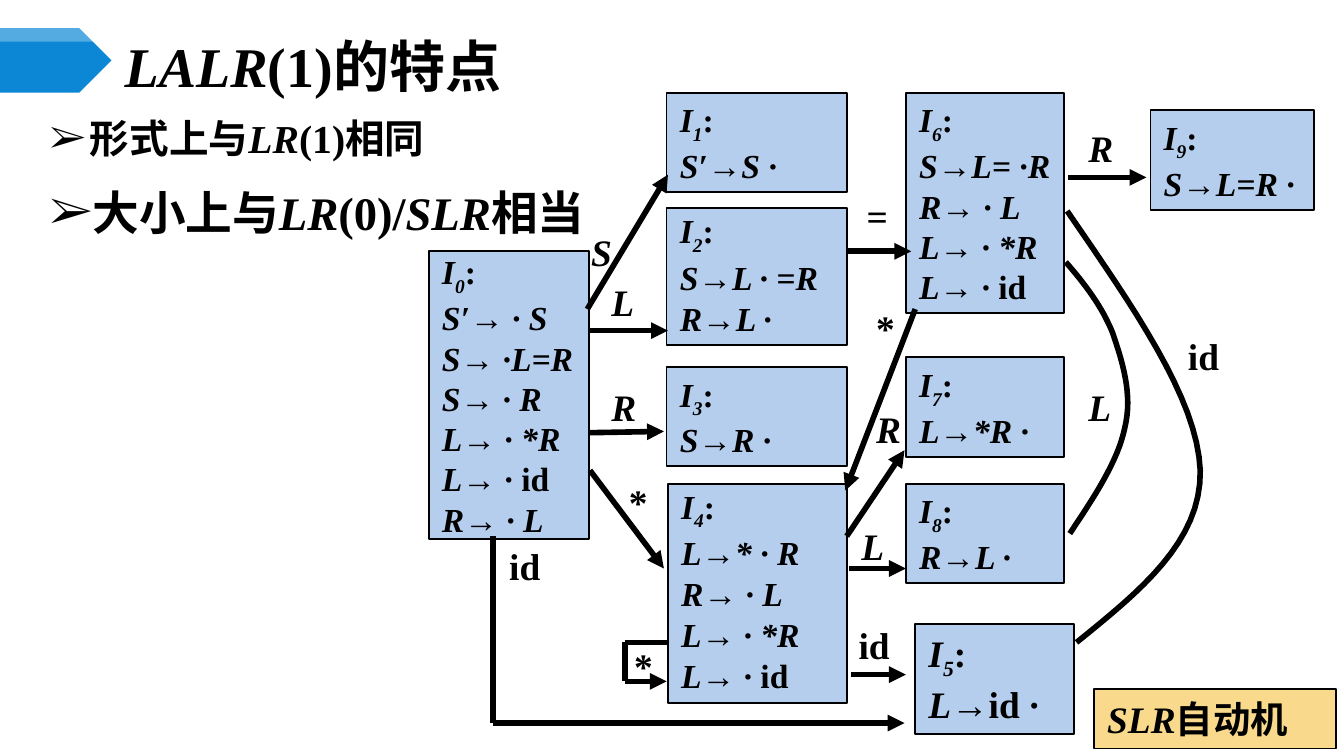
from lxml import etree
from pptx import Presentation
from pptx import util as u
from pptx.dml.color import RGBColor
from pptx.enum import shapes, text
from pptx.oxml.ns import qn

LATIN, CJK = "Times New Roman", "Noto Sans CJK SC"
BLACK, STATE_FILL, NOTE_FILL, BLUE = "000000", "B5CEED", "F9D98C", "0B87D6"

STATES = [
    (0, 0.19, 1.37, 1.19, 2.14, ["S′→ · S", "S→ ·L=R", "S→ · R", "L→ · *R", "L→ · id", "R→ · L"]),
    (1, 1.96, 0.19, 1.34, 0.74, ["S′→S ·"]),
    (2, 1.96, 1.05, 1.34, 1.02, ["S→L · =R", "R→L ·"]),
    (3, 1.96, 2.23, 1.34, 0.74, ["S→R ·"]),
    (4, 1.97, 3.1, 1.33, 1.63, ["L→* · R", "R→ · L", "L→ · *R", "L→ · id"]),
    (5, 3.81, 4.14, 1.18, 0.82, ["L→id ·"]),
    (6, 3.74, 0.19, 1.18, 1.64, ["S→L= ·R", "R→ · L", "L→ · *R", "L→ · id"]),
    (7, 3.74, 2.16, 1.18, 0.74, ["L→*R ·"]),
    (8, 3.74, 3.1, 1.18, 0.74, ["R→L ·"]),
    (9, 5.56, 0.32, 1.22, 0.74, ["S→L=R ·"]),
]
ARROWS = [
    (1.37, 1.8, 1.97, 0.8), (1.38, 1.96, 1.97, 1.96), (1.38, 2.72, 1.94, 2.71),
    (1.39, 3, 1.94, 3.73), (3.3, 1.37, 3.78, 1.37), (3.3, 3.49, 3.73, 2.85),
    (3.32, 3.73, 3.74, 3.73), (4.95, 0.82, 5.53, 0.82), (3.81, 1.8, 3.29, 3.15),
    (3.33, 4.52, 3.74, 4.52), (1.65, 4.57, 1.96, 4.57), (0.67, 4.88, 3.73, 4.88),
]
PLAIN_LINES = [(1.65, 4.28, 1.96, 4.28), (1.65, 4.28, 1.65, 4.57), (0.67, 4.88, 0.67, 3.49)]
LABELS = [
    ("S", 1.3, 1.16), ("L", 1.45, 1.53), ("R", 1.45, 2.31), ("*", 1.58, 3.02),
    ("id", 0.69, 3.49), ("=", 3.35, 0.89), ("R", 3.42, 2.47), ("L", 3.31, 3.34),
    ("R", 5, 0.38), ("*", 3.42, 1.72), ("id", 3.29, 4.08), ("*", 1.62, 4.24),
    ("L", 5, 2.31), ("id", 5.74, 1.93),
]
CURVES = [
    [(4.93, 1.45), (5.07, 1.61), (5.2, 1.78), (5.28, 1.98), (5.35, 2.19), (5.43, 2.43),
     (5.37, 2.68), (5.32, 2.93), (5.14, 3.2), (4.96, 3.47)],
    [(4.94, 1.07), (5.42, 1.77), (5.91, 2.46), (5.93, 3), (5.94, 3.53), (5.48, 3.9), (5.01, 4.28)],
]


def rgb(value):
    """Turn a hex string into a colour."""
    return RGBColor.from_string(value)


def add_run(p, words, size, italic=False, base=0):
    """Append one bold run with Latin and East Asian fonts."""
    r = p.add_run()
    r.text = words
    r.font.size, r.font.bold, r.font.italic = u.Pt(size), True, italic
    r.font.name = LATIN
    r.font.color.rgb = rgb(BLACK)
    props = r.font._element
    etree.SubElement(props, qn("a:ea")).set("typeface", CJK)
    if base:
        props.set("baseline", str(base))


def add_text(s, left, top, width, height):
    """Add a wrapping text box and return its text frame."""
    box = s.shapes.add_textbox(u.Inches(left), u.Inches(top), u.Inches(width), u.Inches(height))
    box.text_frame.word_wrap = True
    return box.text_frame


def add_box(s, left, top, width, height, fill):
    """Add an outlined rectangle and return its text frame."""
    sp = s.shapes.add_shape(shapes.MSO_SHAPE.RECTANGLE, u.Inches(left), u.Inches(top),
                            u.Inches(width), u.Inches(height))
    sp.shadow.inherit = False
    sp.fill.solid()
    sp.fill.fore_color.rgb = rgb(fill)
    sp.line.color.rgb, sp.line.width = rgb(BLACK), u.Pt(1)
    tf = sp.text_frame
    tf.word_wrap, tf.vertical_anchor = True, text.MSO_ANCHOR.TOP
    tf.paragraphs[0].alignment = text.PP_ALIGN.LEFT
    return tf


def add_outline(s, points, closed):
    """Build a freeform through points given in inches."""
    corners = [(u.Inches(x), u.Inches(y)) for x, y in points]
    builder = s.shapes.build_freeform(*corners[0])
    builder.add_line_segments(corners[1:], close=closed)
    sp = builder.convert_to_shape()
    sp.shadow.inherit = False
    return sp


def add_state(s, left, top, width, height, number, items):
    """Draw one item set of the automaton."""
    tf = add_box(s, left, top, width, height, STATE_FILL)
    size = 20 if number == 5 else 18
    if number == 0:
        tf.margin_top = tf.margin_bottom = 0
    p = tf.paragraphs[0]
    add_run(p, "I", size, True)
    add_run(p, str(number), size, True, -25000)
    add_run(p, ":", size)
    for item in items:
        p = tf.add_paragraph()
        p.alignment = text.PP_ALIGN.LEFT
        before, upright, after = item.partition("id")
        for words, italic in ((before, True), (upright, False), (after, True)):
            if words:
                add_run(p, words, size, italic)
    if number in (2, 4):
        for p in tf.paragraphs:
            p.line_spacing = u.Pt(22)


def add_edge(s, x1, y1, x2, y2, arrow):
    """Draw a straight edge, with an arrowhead if asked."""
    line = s.shapes.add_connector(shapes.MSO_CONNECTOR.STRAIGHT, u.Inches(x1), u.Inches(y1),
                                  u.Inches(x2), u.Inches(y2))
    line.line.color.rgb, line.line.width = rgb(BLACK), u.Pt(3)
    if arrow:
        etree.SubElement(line.line._get_or_add_ln(), qn("a:tailEnd")).set("type", "triangle")
    etree.SubElement(line._element.spPr, qn("a:effectLst"))


def add_curve(s, controls, steps=16):
    """Draw a chain of cubic curves from its control points."""
    points = [controls[0]]
    for i in range(0, len(controls) - 1, 3):
        for t in (n / steps for n in range(1, steps + 1)):
            weights = ((1 - t) ** 3, 3 * t * (1 - t) ** 2, 3 * t * t * (1 - t), t ** 3)
            points.append(tuple(sum(w * c[axis] for w, c in zip(weights, controls[i:i + 4]))
                                for axis in (0, 1)))
    sp = add_outline(s, points, False)
    sp.fill.background()
    sp.line.color.rgb, sp.line.width = rgb(BLACK), u.Pt(3)


def draw_banner(s, left, top, width, height):
    """Draw the title arrow with its lighter upper band."""
    right = left + width
    for depth, color, alpha in ((height, BLUE, None), (0.1, "FFFFFF", "30000")):
        shoulder, bottom = right - depth / 2, top + depth
        sp = add_outline(s, [(left, top), (shoulder, top), (right, top + depth / 2),
                             (shoulder, bottom), (left, bottom)], True)
        sp.fill.solid()
        sp.fill.fore_color.rgb = rgb(color)
        sp.line.fill.background()
        if alpha:
            tint = sp._element.spPr.find(".//" + qn("a:srgbClr"))
            etree.SubElement(tint, qn("a:alpha")).set("val", alpha)


def draw_title(s, left, top, width, height):
    """Write the slide title."""
    tf = add_text(s, left, top, width, height)
    tf.vertical_anchor = text.MSO_ANCHOR.MIDDLE
    add_run(tf.paragraphs[0], "LALR", 30, True)
    add_run(tf.paragraphs[0], "(1)的特点", 30)


def draw_point(s, left, top, width, height, size, runs, spacing=1.0):
    """Write one bulleted point."""
    p = add_text(s, left, top, width, height).paragraphs[0]
    props = p._p.get_or_add_pPr()
    props.set("marL", str(u.Inches(0.3)))
    props.set("indent", str(u.Inches(-0.3)))
    color = etree.SubElement(props, qn("a:buClr"))
    etree.SubElement(color, qn("a:srgbClr")).set("val", BLACK)
    etree.SubElement(props, qn("a:buFont")).set("typeface", LATIN)
    etree.SubElement(props, qn("a:buChar")).set("char", "➢")
    p.line_spacing = spacing
    for words, italic in runs:
        add_run(p, words, size, italic)


def draw_automaton(s, left, top):
    """Draw the states, edges and labels from the given corner."""
    for number, x, y, width, height, items in STATES:
        add_state(s, left + x, top + y, width, height, number, items)
    for edges, arrow in ((ARROWS, True), (PLAIN_LINES, False)):
        for x1, y1, x2, y2 in edges:
            add_edge(s, left + x1, top + y1, left + x2, top + y2, arrow)
    for controls in CURVES:
        add_curve(s, [(left + x, top + y) for x, y in controls])
    for words, x, y in LABELS:
        tf = add_text(s, left + x, top + y, 0.58, 0.44)
        add_run(tf.paragraphs[0], words, 20, words in "SLR")


def draw_note(s, left, top, width, height):
    """Draw the caption of the automaton."""
    p = add_box(s, left, top, width, height, NOTE_FILL).paragraphs[0]
    add_run(p, "SLR", 20, True)
    add_run(p, "自动机", 20)


def main():
    """Build and save the slide."""
    prs = Presentation()
    prs.slide_width = u.Inches(10)
    prs.slide_height = prs.slide_width * 9 // 16
    s = prs.slides.add_slide(prs.slide_layouts[6])
    draw_banner(s, 0, 0.21, 0.83, 0.48)
    draw_point(s, 0.27, 1.32, 6.48, 0.63, 25,
               [("大小上与", False), ("LR", True), ("(0)/", False), ("SLR", True), ("相当", False)])
    draw_point(s, 0.27, 0.84, 6.01, 0.47, 21.2,
               [("形式上与", False), ("LR", True), ("(1)相同", False)], 0.9)
    draw_title(s, 0.83, 0.29, 8.67, 0.39)
    draw_automaton(s, 3, 0.5)
    draw_note(s, 8.14, 5.13, 1.8, 0.44)
    prs.save("out.pptx")


if __name__ == "__main__":
    main()
